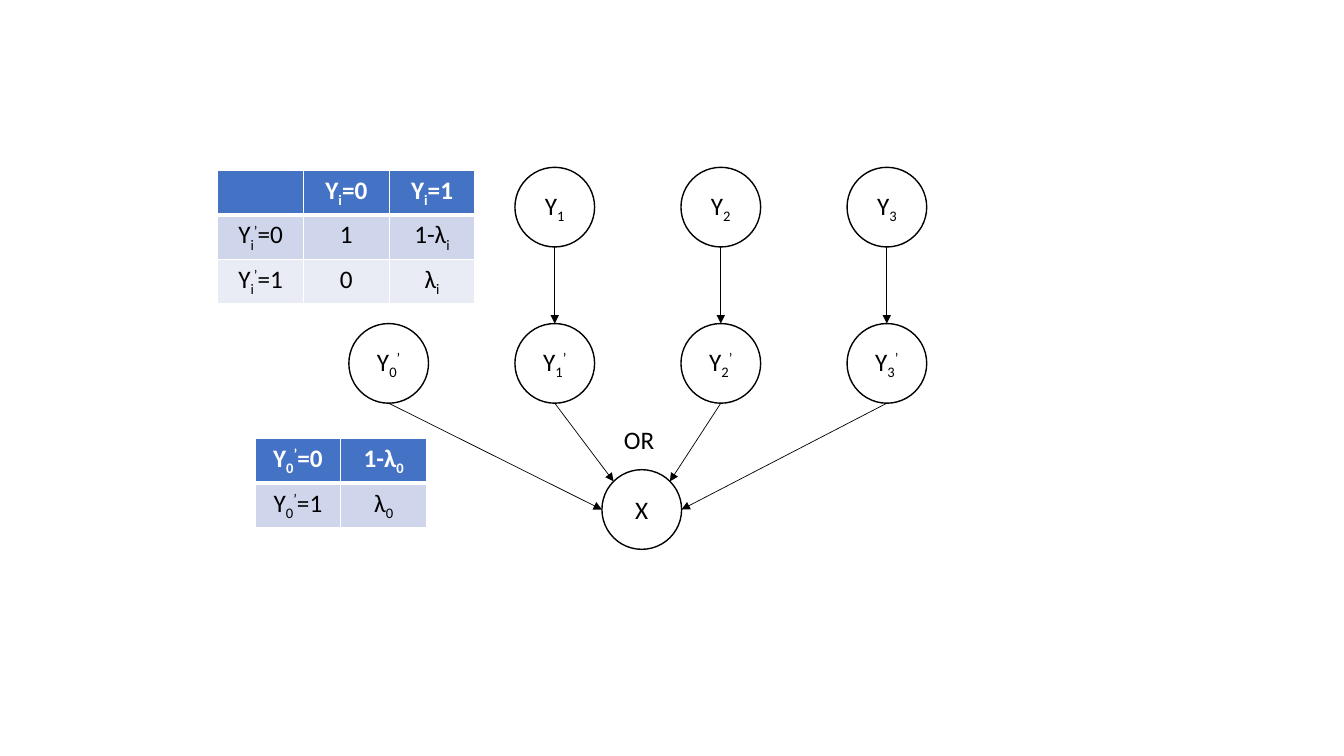
"""Build a noisy-OR network slide with its two probability tables."""
from dataclasses import dataclass
from math import cos, radians, sin

from lxml.etree import SubElement
from pptx import Presentation
from pptx.dml.color import RGBColor
from pptx.enum.shapes import MSO_CONNECTOR, MSO_SHAPE
from pptx.enum.text import MSO_ANCHOR, PP_ALIGN
from pptx.oxml.ns import qn
from pptx.shapes.autoshape import Shape
from pptx.slide import Slide
from pptx.table import _Cell as Cell
from pptx.text.text import _Paragraph as Paragraph
from pptx.util import Inches, Pt

BLACK = RGBColor(0x00, 0x00, 0x00)
WHITE = RGBColor(0xFF, 0xFF, 0xFF)
HEADER_BLUE = RGBColor(0x44, 0x72, 0xC4)
BANDS = (RGBColor(0xCF, 0xD5, 0xEA), RGBColor(0xE9, 0xEB, 0xF5))
BASELINES = {"_": "-25000", "^": "30000"}
FONT = "Calibri"
DIAMETER = 0.79
COLUMN_LEFT, COLUMN_STEP = 3.46, 1.647
CAUSE_TOP, NOISY_TOP = 1.66, 3.21
CELL_WIDTH, CELL_HEIGHT = 0.85, 0.41
TOP, TOP_LEFT, LEFT, BOTTOM, RIGHT, TOP_RIGHT = 0, 1, 2, 4, 6, 7


@dataclass(frozen=True)
class Node:
    label: str
    left: float
    top: float

    def site(self, index: int) -> tuple[float, float]:
        radius, angle = DIAMETER / 2, radians(45 * index)
        return (self.left + radius - radius * sin(angle),
                self.top + radius - radius * cos(angle))


@dataclass(frozen=True)
class Edge:
    start: Node
    end: Node
    start_site: int
    end_site: int


@dataclass(frozen=True)
class Grid:
    left: float
    top: float
    rows: tuple[tuple[str, ...], ...]


RESULT = Node("X", 5.97, 4.66)
NOISY = [Node(f"Y_{i}^’", COLUMN_LEFT + i * COLUMN_STEP, NOISY_TOP) for i in range(4)]
CAUSES = [Node(f"Y_{i}", COLUMN_LEFT + i * COLUMN_STEP, CAUSE_TOP) for i in range(1, 4)]
EDGES = [Edge(cause, noisy, BOTTOM, TOP) for cause, noisy in zip(CAUSES, NOISY[1:])]
EDGES += [Edge(noisy, RESULT, BOTTOM, site)
          for noisy, site in zip(NOISY, (LEFT, TOP_LEFT, TOP_RIGHT, RIGHT))]
GRIDS = (
    Grid(2.16, 1.69, (("", "Y_i=0", "Y_i=1"),
                      ("Y_i^’=0", "1", "1-λ_i"),
                      ("Y_i^’=1", "0", "λ_i"))),
    Grid(2.53, 4.35, (("Y_0^’=0", "1-λ_0"),
                      ("Y_0^’=1", "λ_0"))),
)


def split_runs(text: str) -> list[tuple[str, str]]:
    """Split text into runs, where _ and ^ shift the next character."""
    runs, mark = [], ""
    for char in text:
        if char in BASELINES:
            mark = char
        elif not mark and runs and not runs[-1][1]:
            runs[-1] = (runs[-1][0] + char, "")
        else:
            runs.append((char, mark))
            mark = ""
    return runs


def write(p: Paragraph, text: str, color: RGBColor = BLACK, bold: bool = False) -> None:
    for part, mark in split_runs(text):
        r = p.add_run()
        r.text = part
        r.font.name, r.font.size, r.font.bold = FONT, Pt(18), bold
        r.font.color.rgb = color
        if mark:
            r.font._element.set("baseline", BASELINES[mark])


def draw_node(s: Slide, node: Node) -> Shape:
    sp = s.shapes.add_shape(MSO_SHAPE.OVAL, Inches(node.left), Inches(node.top),
                            Inches(DIAMETER), Inches(DIAMETER))
    sp.shadow.inherit = False
    sp.fill.solid()
    sp.fill.fore_color.rgb = WHITE
    sp.line.color.rgb = BLACK
    sp.line.width = Pt(1)
    tf = sp.text_frame
    tf.vertical_anchor = MSO_ANCHOR.MIDDLE
    p = tf.paragraphs[0]
    p.alignment = PP_ALIGN.CENTER
    write(p, node.label)
    return sp


def draw_edge(s: Slide, edge: Edge, shapes: dict[Node, Shape]) -> None:
    points = edge.start.site(edge.start_site) + edge.end.site(edge.end_site)
    line = s.shapes.add_connector(MSO_CONNECTOR.STRAIGHT, *map(Inches, points))
    line.line.color.rgb = BLACK
    line.line.width = Pt(0.5)
    sp_pr = line._element.spPr
    SubElement(sp_pr.find(qn("a:ln")), qn("a:tailEnd"), type="triangle")
    SubElement(sp_pr, qn("a:effectLst"))
    glue = line._element.find(f".//{qn('p:cNvCxnSpPr')}")
    for tag, node, site in (("a:stCxn", edge.start, edge.start_site),
                            ("a:endCxn", edge.end, edge.end_site)):
        SubElement(glue, qn(tag), id=str(shapes[node].shape_id), idx=str(site))


def set_borders(cell: Cell, top: float, bottom: float) -> None:
    tc_pr = cell._tc.get_or_add_tcPr()
    for side, width in (("L", 1), ("R", 1), ("T", top), ("B", bottom)):
        ln = SubElement(tc_pr, qn(f"a:ln{side}"), w=str(Pt(width)))
        fill = SubElement(ln, qn("a:solidFill"))
        SubElement(fill, qn("a:srgbClr"), val=str(WHITE))


def draw_grid(s: Slide, grid: Grid) -> None:
    n_rows, n_cols = len(grid.rows), len(grid.rows[0])
    table = s.shapes.add_table(n_rows, n_cols, Inches(grid.left), Inches(grid.top),
                               Inches(n_cols * CELL_WIDTH),
                               Inches(n_rows * CELL_HEIGHT)).table
    for i, row in enumerate(grid.rows):
        header = i == 0
        for j, text in enumerate(row):
            cell = table.cell(i, j)
            set_borders(cell, 3 if i == 1 else 1, 3 if header else 1)
            cell.fill.solid()
            cell.fill.fore_color.rgb = HEADER_BLUE if header else BANDS[(i - 1) % 2]
            p = cell.text_frame.paragraphs[0]
            p.alignment = PP_ALIGN.CENTER
            write(p, text, WHITE if header else BLACK, header)


def draw_gate_label(s: Slide) -> None:
    box = s.shapes.add_textbox(Inches(6.09), Inches(4.16), Inches(0.56), Inches(0.4))
    write(box.text_frame.paragraphs[0], "OR")


def main() -> None:
    prs = Presentation()
    prs.slide_width, prs.slide_height = Inches(13.33), Inches(7.5)
    s = prs.slides.add_slide(prs.slide_layouts[6])
    shapes = {node: draw_node(s, node) for node in (RESULT, *NOISY, *CAUSES)}
    for edge in EDGES:
        draw_edge(s, edge, shapes)
    draw_gate_label(s)
    for grid in GRIDS:
        draw_grid(s, grid)
    prs.save("out.pptx")


if __name__ == "__main__":
    main()
